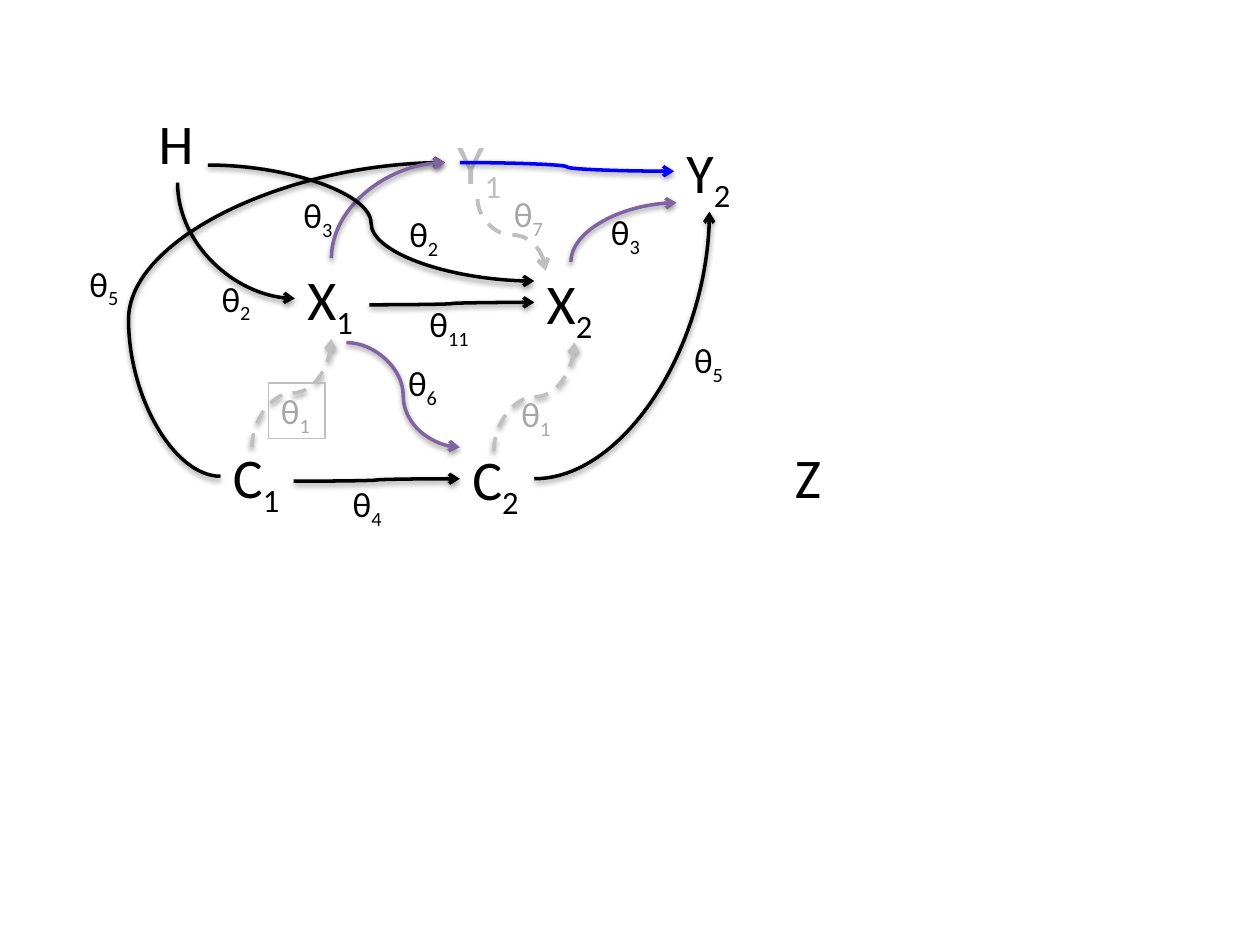
from lxml import etree
from pptx import Presentation
from pptx.dml.color import RGBColor
from pptx.enum import dml, shapes, text
from pptx.oxml import ns
from pptx.util import Pt

BLACK = RGBColor(0x00, 0x00, 0x00)
SILVER = RGBColor(0xBF, 0xBF, 0xBF)
GRAY = RGBColor(0xA6, 0xA6, 0xA6)
BLUE = RGBColor(0x00, 0x00, 0xFF)
PURPLE = RGBColor(0x80, 0x64, 0xA2)

NODES = [
    ("X", "1", 124.5, 89.6, 42.5, BLACK),
    ("X", "2", 261.3, 91.8, 42.5, BLACK),
    ("C", "1", 82, 191.1, 42.5, BLACK),
    ("C", "2", 218.8, 192.6, 42.5, BLACK),
    ("Y", "2", 341.2, 16.9, 41, BLACK),
    ("Y", "1", 210.2, 11.8, 41, SILVER),
    ("H", "", 39.5, 0.3, 34.6, BLACK),
    ("Z", "", 403.1, 191.1, 29.5, BLACK),
]

LABELS = [
    ("4", 150.4, 214.2, BLACK),
    ("1", 246.9, 163, GRAY),
    ("1", 109.4, 160.9, GRAY),
    ("5", 0, 88.2, BLACK),
    ("5", 345.5, 132.1, BLACK),
    ("11", 194.3, 111.2, BLACK),
    ("3", 298, 58.6, BLACK),
    ("3", 122.3, 49.3, BLACK),
    ("6", 182.1, 145, BLACK),
    ("2", 182.8, 60.1, BLACK),
    ("2", 75.5, 96.8, BLACK),
    ("7", 242.6, 48.6, GRAY),
]
BOXED_LABEL = 2

CURVES = [
    ((100, 197.6), (145.4, 135.7), SILVER, dict(upright=True, dashed=True)),
    ((238.2, 199.8), (284.3, 137.8), SILVER, dict(upright=True, dashed=True)),
    ((261.3, 215.6), (361.4, 63), BLACK, dict(quarter=True)),
    ((167, 116.2), (261.3, 114.8), BLACK, {}),
    ((123.8, 217), (218.8, 215.6), BLACK, {}),
    ((218.8, 34.9), (341.2, 39.9), BLUE, {}),
    ((82, 214.2), (210.2, 34.9), BLACK, dict(bend=-0.41)),
    ((228.9, 55.8), (267.8, 96.8), SILVER,
     dict(upright=True, dashed=True, weight=2.25, shadow=False)),
    ((282.2, 91.8), (342.6, 57.9), PURPLE, dict(upright=True, quarter=True)),
    ((145.4, 89.6), (210.2, 34.9), PURPLE, dict(upright=True, quarter=True)),
    ((154, 137.8), (218.8, 197.6), PURPLE, {}),
    ((57.5, 46.4), (124.5, 112.6), BLACK, dict(upright=True, quarter=True)),
    ((74.8, 36.3), (261.3, 102.6), BLACK, {}),
]


def add_symbol(s, base, sub, left, top, width, height, size, color):
    sp = s.shapes.add_textbox(Pt(left), Pt(top), Pt(width), Pt(height))
    tf = sp.text_frame
    tf.word_wrap = False
    tf.auto_size = text.MSO_AUTO_SIZE.SHAPE_TO_FIT_TEXT
    p = tf.paragraphs[0]
    for part, baseline in ((base, None), (sub, "-25000")):
        if part:
            r = p.add_run()
            r.text = part
            r.font.name = "Calibri"
            r.font.size = Pt(size)
            r.font.color.rgb = color
            if baseline:
                r.font._element.set("baseline", baseline)
    return sp


def add_effects(sp_pr, shadow):
    effects = etree.SubElement(sp_pr, ns.qn("a:effectLst"))
    if shadow:
        outer = etree.SubElement(
            effects, ns.qn("a:outerShdw"), blurRad="40000", dist="20000",
            dir="5400000", rotWithShape="0")
        tint = etree.SubElement(outer, ns.qn("a:srgbClr"), val="000000")
        etree.SubElement(tint, ns.qn("a:alpha"), val="38000")


def add_curve(s, start, end, color, upright=False, quarter=False, bend=None,
              dashed=False, weight=2, shadow=True):
    (x1, y1), (x2, y2) = start, end
    rising = y2 < y1
    if upright:
        cx, cy = (x1 + x2) / 2, (y1 + y2) / 2
        dx, dy = abs(y2 - y1) / 2, (x2 - x1) / 2
        if rising:
            dy = -dy
        x1, y1, x2, y2 = cx + dx, cy - dy, cx - dx, cy + dy
    c = s.shapes.add_connector(
        shapes.MSO_CONNECTOR.CURVE, Pt(x1), Pt(y1), Pt(x2), Pt(y2))
    c.line.color.rgb = color
    c.line.width = Pt(weight)
    if dashed:
        c.line.dash_style = dml.MSO_LINE.DASH
    sp_pr = c._element.spPr
    if upright:
        sp_pr.find(ns.qn("a:xfrm")).set("rot", "5400000" if rising else "16200000")
    geom = sp_pr.find(ns.qn("a:prstGeom"))
    if quarter:
        geom.set("prst", "curvedConnector2")
    if bend is not None:
        guides = geom.find(ns.qn("a:avLst"))
        etree.SubElement(guides, ns.qn("a:gd"), name="adj1",
                         fmla=f"val {round(bend * 100000)}")
    etree.SubElement(c.line._get_or_add_ln(), ns.qn("a:tailEnd"), type="arrow")
    add_effects(sp_pr, shadow)


def add_path_diagram(s, left, top):
    for base, sub, x, y, width, color in NODES:
        add_symbol(s, base, sub, left + x, top + y, width, 46, 32, color)
    for (x1, y1), (x2, y2), color, style in CURVES:
        add_curve(s, (left + x1, top + y1), (left + x2, top + y2), color, **style)
    for i, (sub, x, y, color) in enumerate(LABELS):
        width = 32.4 + 6.5 * (len(sub) - 1)
        sp = add_symbol(s, "θ", sub, left + x, top + y, width, 31.6, 20, color)
        if i == BOXED_LABEL:
            sp.line.color.rgb = SILVER
            sp.line.width = Pt(0.75)


def main():
    prs = Presentation()
    prs.slide_width, prs.slide_height = Pt(720), Pt(540)
    s = prs.slides.add_slide(prs.slide_layouts[6])
    add_path_diagram(s, 44, 58)
    prs.save("out.pptx")


if __name__ == "__main__":
    main()
